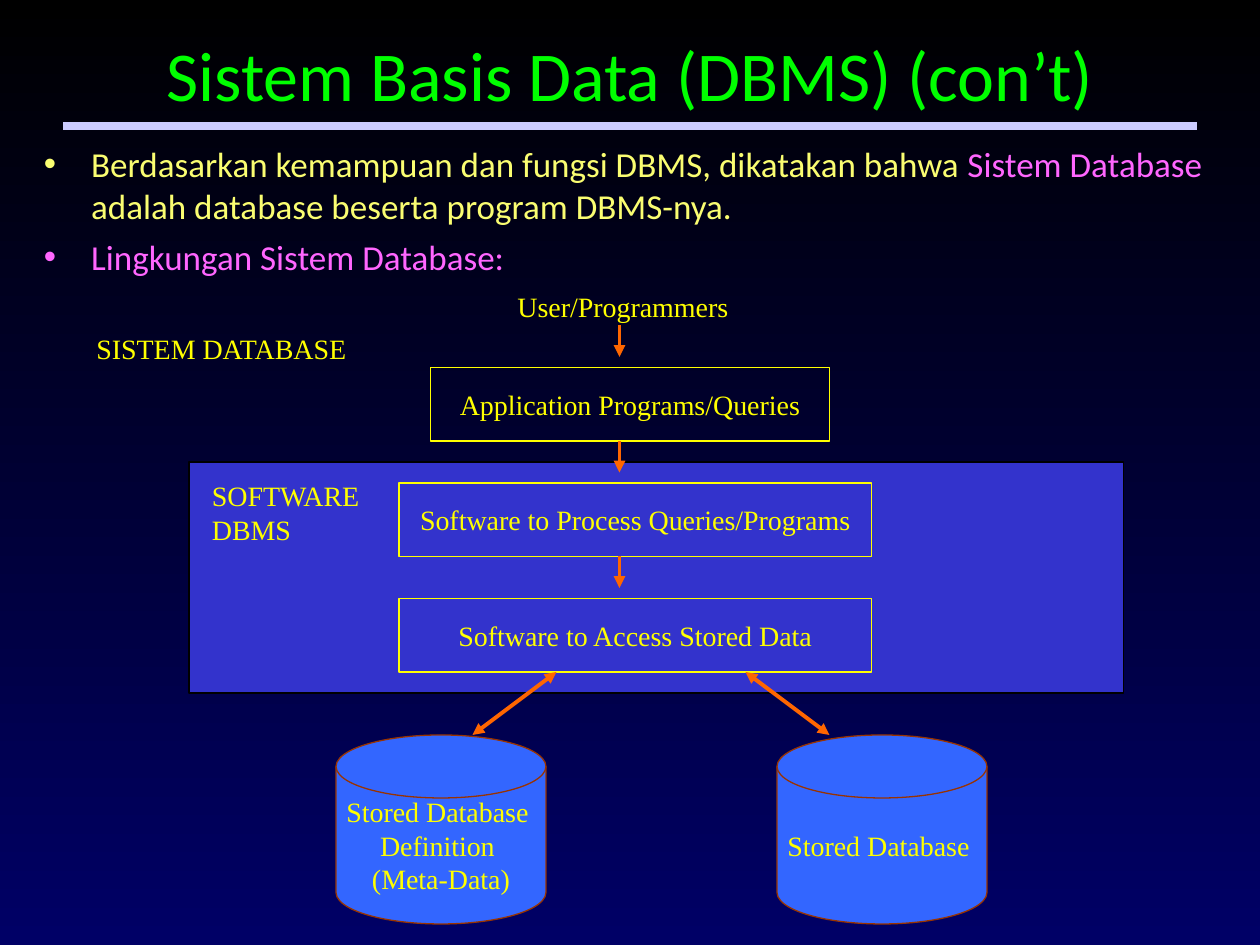
from pptx import Presentation
from pptx.dml.color import RGBColor
from pptx.enum.shapes import MSO_CONNECTOR, MSO_SHAPE
from pptx.enum.text import MSO_ANCHOR, MSO_AUTO_SIZE, PP_ALIGN
from pptx.oxml.ns import qn
from pptx.util import Emu, Pt
from lxml.etree import SubElement

PX = 7620

THEME = {
    "sky": ["000000", "000066"],
    "panel": {"fill": "3333CC", "line": "000000"},
    "step": {"fill": None, "line": "FFFF00"},
    "disk": {"fill": "3366FF", "line": "993300"},
    "rule": ("CCCCFF", 4.5),
    "arrow": ("FF6600", 2.25),
    "yellow": "FAFD71",
    "pink": "FF66FF",
    "title": {"name": "Calibri", "size": Pt(40), "color": "00FF00"},
    "body": {"name": "Calibri", "size": Pt(20)},
    "label": {"name": "Times New Roman", "size": Pt(16), "color": "FFFF00"},
}

TITLE = ("Sistem Basis Data (DBMS) (con’t)", (60, 20, 1080, 100))
BODY_AREA = (30, 130, 1160, 150)
BULLETS = [
    [("Berdasarkan kemampuan dan fungsi DBMS, dikatakan bahwa ", "yellow"),
     ("Sistem Database", "pink"),
     (" adalah database beserta program DBMS-nya.", "yellow")],
    [("Lingkungan Sistem Database:", "pink")],
]
PANEL = (180, 440, 890, 220)
STEP_HEIGHT, DISK_TOP, DISK_SIZE = 70, 700, (200, 180)
STEPS = [
    ("Application Programs/Queries", 410, 350, 380),
    ("Software to Process Queries/Programs", 380, 460, 450),
    ("Software to Access Stored Data", 380, 570, 450),
]
DISKS = [
    (["Stored Database ", "Definition ", "(Meta-Data)"], 320),
    (["Stored Database "], 740),
]
LABELS = [
    (["User/Programmers"], (481, 270, 228, 44)),
    (["SISTEM DATABASE"], (80, 310, 268, 44)),
    (["SOFTWARE", "DBMS"], (190, 450, 176, 77)),
]
FLOW_X, FLOW_LENGTH = 590, 30
FLOW_TOPS = [310] + [top + STEP_HEIGHT for _, _, top, _ in STEPS[:2]]
STORE_LINKS = [(530, 450), (710, 790)]


def emu(lengths):
    return [Emu(length * PX) for length in lengths]


def write(para, text, style):
    span = para.add_run()
    span.text = text
    for key, value in style.items():
        if key == "color":
            span.font.color.rgb = RGBColor.from_string(value)
        else:
            setattr(span.font, key, value)


def write_lines(frame, lines, align):
    frame.word_wrap = False
    for index, line in enumerate(lines):
        para = frame.add_paragraph() if index else frame.paragraphs[0]
        para.alignment = align
        write(para, line, THEME["label"])


def add_box(slide, kind, area, look, lines=()):
    box = slide.shapes.add_shape(kind, *emu(area))
    box.shadow.inherit = False
    if look["fill"]:
        box.fill.solid()
        box.fill.fore_color.rgb = RGBColor.from_string(look["fill"])
    else:
        box.fill.background()
    box.line.color.rgb = RGBColor.from_string(look["line"])
    box.line.width = Pt(0.75)
    box.text_frame.vertical_anchor = MSO_ANCHOR.MIDDLE
    write_lines(box.text_frame, lines, PP_ALIGN.CENTER)


def add_line(slide, start, end, look, ends=()):
    color, width = look
    line = slide.shapes.add_connector(MSO_CONNECTOR.STRAIGHT, *emu(start + end))
    line.line.color.rgb = RGBColor.from_string(color)
    line.line.width = Pt(width)
    properties = line.line._get_or_add_ln()
    for name in ends:
        SubElement(properties, qn(f"a:{name}"), type="triangle")
    SubElement(line._element.spPr, qn("a:effectLst"))


def add_title(slide):
    text, area = TITLE
    title = slide.shapes.title
    title.left, title.top, title.width, title.height = emu(area)
    frame = title.text_frame
    frame.auto_size = MSO_AUTO_SIZE.NONE
    frame.vertical_anchor = MSO_ANCHOR.MIDDLE
    frame.paragraphs[0].alignment = PP_ALIGN.CENTER
    write(frame.paragraphs[0], text, THEME["title"])


def add_bullets(slide):
    frame = slide.shapes.add_textbox(*emu(BODY_AREA)).text_frame
    frame.word_wrap = True
    for index, spans in enumerate(BULLETS):
        para = frame.add_paragraph() if index else frame.paragraphs[0]
        para.space_before = Pt(5 if index else 0)
        properties = para._p.get_or_add_pPr()
        properties.set("marL", str(45 * PX))
        properties.set("indent", str(-45 * PX))
        bullet_color = SubElement(properties, qn("a:buClr"))
        SubElement(bullet_color, qn("a:srgbClr"), val=THEME[spans[0][1]])
        SubElement(properties, qn("a:buFont"), typeface="Arial")
        SubElement(properties, qn("a:buChar"), char="•")
        for text, color in spans:
            write(para, text, {**THEME["body"], "color": THEME[color]})


def add_diagram(slide):
    add_box(slide, MSO_SHAPE.RECTANGLE, PANEL, THEME["panel"])
    for text, left, top, width in STEPS:
        area = (left, top, width, STEP_HEIGHT)
        add_box(slide, MSO_SHAPE.RECTANGLE, area, THEME["step"], [text])
    for lines, left in DISKS:
        area = (left, DISK_TOP, *DISK_SIZE)
        add_box(slide, MSO_SHAPE.FLOWCHART_MAGNETIC_DISK, area, THEME["disk"], lines)
    for lines, area in LABELS:
        label = slide.shapes.add_textbox(*emu(area))
        write_lines(label.text_frame, lines, PP_ALIGN.LEFT)
        label.text_frame.auto_size = MSO_AUTO_SIZE.NONE
    for top in FLOW_TOPS:
        add_line(slide, (FLOW_X, top), (FLOW_X, top + FLOW_LENGTH),
                 THEME["arrow"], ["tailEnd"])
    link_top = STEPS[-1][2] + STEP_HEIGHT
    for start, end in STORE_LINKS:
        add_line(slide, (start, link_top), (end, DISK_TOP),
                 THEME["arrow"], ["headEnd", "tailEnd"])


def main():
    deck = Presentation()
    deck.slide_width, deck.slide_height = emu((1200, 900))
    slide = deck.slides.add_slide(deck.slide_layouts[5])
    sky = slide.background.fill
    sky.gradient()
    sky.gradient_angle = 270
    for stop, color in zip(sky.gradient_stops, THEME["sky"]):
        stop.color.rgb = RGBColor.from_string(color)
    add_title(slide)
    add_bullets(slide)
    add_line(slide, (60, 120), (1140, 120), THEME["rule"])
    add_diagram(slide)
    deck.save("out.pptx")


if __name__ == "__main__":
    main()
